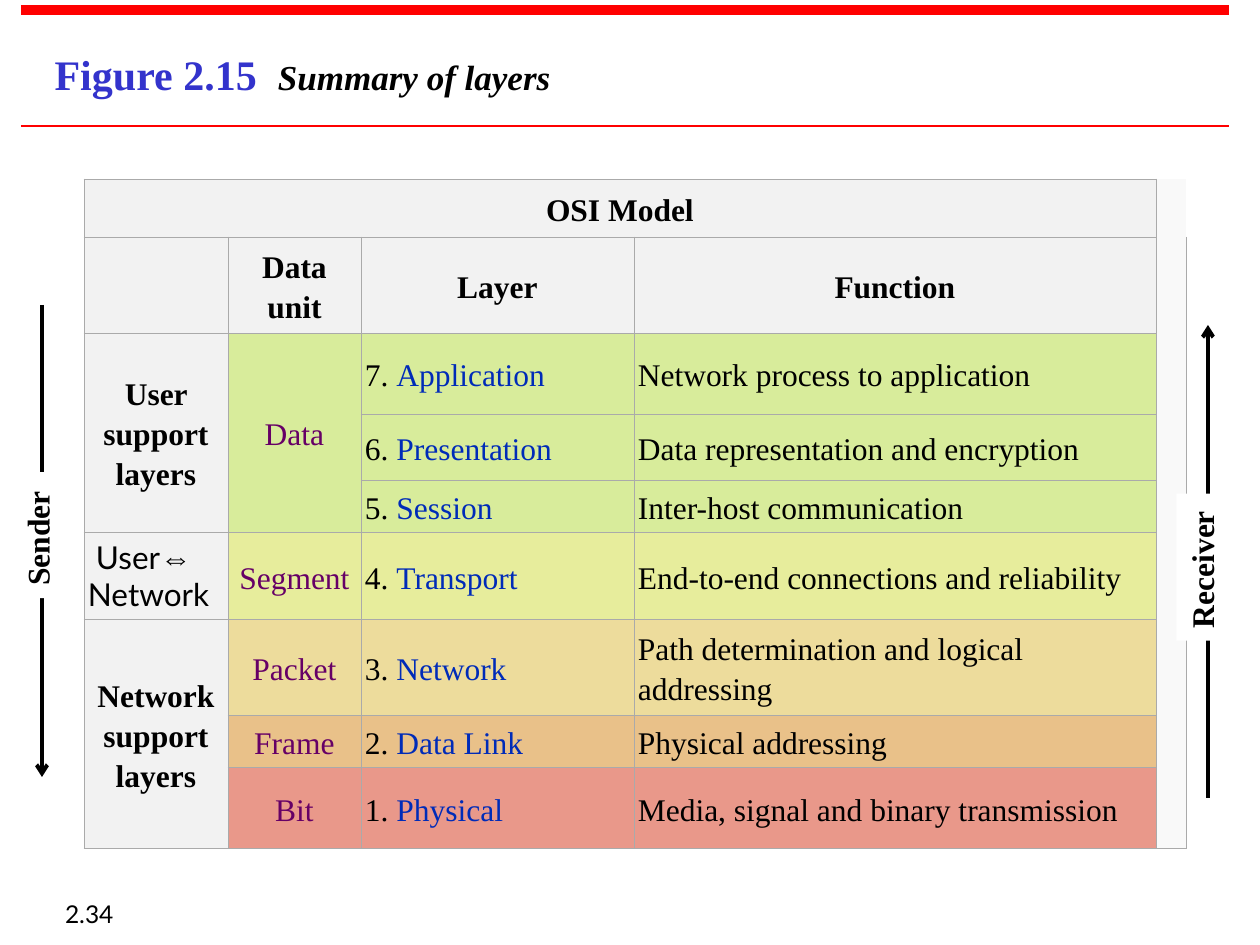
from lxml import etree
from pptx import Presentation
from pptx.dml.color import RGBColor
from pptx.enum.shapes import MSO_CONNECTOR, MSO_SHAPE
from pptx.enum.text import MSO_ANCHOR, PP_ALIGN
from pptx.oxml.ns import qn
from pptx.util import Emu, Pt

CENTER, LEFT, RIGHT = PP_ALIGN.CENTER, PP_ALIGN.LEFT, PP_ALIGN.RIGHT
TOP, MIDDLE, BOTTOM = MSO_ANCHOR.TOP, MSO_ANCHOR.MIDDLE, MSO_ANCHOR.BOTTOM
STRAIGHT, RECTANGLE = MSO_CONNECTOR.STRAIGHT, MSO_SHAPE.RECTANGLE

BLACK = RGBColor(0x00, 0x00, 0x00)
WHITE = RGBColor(0xFF, 0xFF, 0xFF)
RED = RGBColor(0xFF, 0x00, 0x00)
TITLE_BLUE = RGBColor(0x33, 0x33, 0xCC)
LINK_BLUE = RGBColor(0x00, 0x2B, 0xB8)
PURPLE = RGBColor(0x66, 0x00, 0x66)
BORDER_GREY = RGBColor(0xAA, 0xAA, 0xAA)
HEADER_GREY = RGBColor(0xF2, 0xF2, 0xF2)
EDGE_GREY = RGBColor(0xF9, 0xF9, 0xF9)
GREEN = RGBColor(0xD8, 0xEC, 0x9B)
LIME = RGBColor(0xE7, 0xED, 0x9C)
SAND = RGBColor(0xED, 0xDC, 0x9C)
ORANGE = RGBColor(0xE9, 0xC1, 0x89)
CORAL = RGBColor(0xE9, 0x98, 0x8A)
SERIF, SANS, SYMBOL = "Times New Roman", "Lato", "Arial"


def px(count):
    """Turn pixels, 126 to the inch, into EMU."""
    return Emu(round(count * 914400 / 126))


def add_span(para, text, color=BLACK, size=18, font=SERIF, bold=False, italic=False):
    """Add one formatted run to a paragraph."""
    span = para.add_run()
    span.text = text
    span.font.name = font
    span.font.size = Pt(size)
    span.font.bold = bold
    span.font.italic = italic
    span.font.color.rgb = color


deck = Presentation()
deck.slide_width, deck.slide_height = px(1260), px(945)
page = deck.slides.add_slide(deck.slide_layouts[5])

# Title
title = page.shapes.title
title.left, title.top, title.width, title.height = px(42), px(42), px(522), px(63)
title.text_frame.word_wrap = False
title.text_frame.vertical_anchor = TOP
para = title.text_frame.paragraphs[0]
para.alignment = LEFT
add_span(para, "Figure 2.15  ", TITLE_BLUE, 24, bold=True)
add_span(para, "Summary of layers", BLACK, 20, bold=True, italic=True)

# Table of layers
COLUMN_WIDTHS = [144, 133, 273, 522, 9]
ROW_HEIGHTS = [58, 96, 81, 66, 52, 84, 96, 52, 81]
LAYERS = [
    ("Application", "Network process to application", "Data", GREEN),
    ("Presentation", "Data representation and encryption", "", GREEN),
    ("Session", "Inter-host communication", "", GREEN),
    ("Transport", "End-to-end connections and reliability", "Segment", LIME),
    ("Network", "Path determination and logical addressing", "Packet", SAND),
    ("Data Link", "Physical addressing", "Frame", ORANGE),
    ("Physical", "Media, signal and binary transmission", "Bit", CORAL),
]
FIRST_LAYER_ROW = 2
EDGE_COLUMN = len(COLUMN_WIDTHS) - 1
LAST_ROW = len(ROW_HEIGHTS) - 1

frame = page.shapes.add_table(len(ROW_HEIGHTS), len(COLUMN_WIDTHS), px(84), px(179),
                              px(sum(COLUMN_WIDTHS)), px(sum(ROW_HEIGHTS)))
table = frame.table
table.first_row = table.horz_banding = False
for column, width in zip(table.columns, COLUMN_WIDTHS):
    column.width = px(width)
for row, height in zip(table.rows, ROW_HEIGHTS):
    row.height = px(height)

for r in range(len(ROW_HEIGHTS)):
    for c in range(len(COLUMN_WIDTHS)):
        cell = table.cell(r, c)
        sides = {"lnL", "lnR", "lnT", "lnB"}
        color = HEADER_GREY
        if c == EDGE_COLUMN:
            color = EDGE_GREY
            sides = {"lnL"} if r == 0 else {"lnL", "lnR"}
            if r == LAST_ROW:
                sides.add("lnB")
        else:
            cell.margin_left = cell.margin_right = px(4)
            cell.margin_top = cell.margin_bottom = px(6)
            cell.vertical_anchor = MIDDLE
            if r >= FIRST_LAYER_ROW and c > 0:
                color = LAYERS[r - FIRST_LAYER_ROW][3]
        properties = cell._tc.get_or_add_tcPr()
        for side in ("lnL", "lnR", "lnT", "lnB"):
            line = etree.SubElement(properties, qn(f"a:{side}"), w=str(Pt(0.45)))
            if side in sides:
                fill = etree.SubElement(line, qn("a:solidFill"))
                etree.SubElement(fill, qn("a:srgbClr"), val=str(BORDER_GREY))
            else:
                etree.SubElement(line, qn("a:noFill"))
        cell.fill.solid()
        cell.fill.fore_color.rgb = color

table.cell(0, 0).merge(table.cell(0, 3))
for r, c in ((2, 0), (2, 1), (6, 0)):
    table.cell(r, c).merge(table.cell(r + 2, c))

# Each entry: row, column, alignment, runs of (text, colour, bold)
entries = [
    (0, 0, CENTER, [("OSI Model", BLACK, True)]),
    (1, 1, CENTER, [("Data unit", BLACK, True)]),
    (1, 2, CENTER, [("Layer", BLACK, True)]),
    (1, 3, CENTER, [("Function", BLACK, True)]),
    (2, 0, CENTER, [("User support", BLACK, True), ("layers", BLACK, True)]),
    (6, 0, CENTER, [("Network support", BLACK, True), ("layers", BLACK, True)]),
]
for index, (layer, function, unit, color) in enumerate(LAYERS):
    r = FIRST_LAYER_ROW + index
    number = len(LAYERS) - index
    if unit:
        entries.append((r, 1, CENTER, [(unit, PURPLE, False)]))
    entries.append((r, 2, LEFT, [(f"{number}. ", BLACK, False), (layer, LINK_BLUE, False)]))
    entries.append((r, 3, LEFT, [(function, BLACK, False)]))

for r, c, alignment, spans in entries:
    para = table.cell(r, c).text_frame.paragraphs[0]
    para.alignment = alignment
    para.line_spacing = 1.15
    para.space_after = Pt(12)
    for text, color, bold in spans:
        if text == "layers":
            para.add_line_break()
        add_span(para, text, color, bold=bold)

para = table.cell(5, 0).text_frame.paragraphs[0]
for text, font in ((" User", SANS), ("⇔", SYMBOL), (" Network", SANS)):
    add_span(para, text, font=font)

# Rules and arrows: start, end, colour, width, arrowhead
LINES = [
    (21, 10, 1229, 10, RED, 6, None),
    (21, 126, 1229, 126, RED, 1.5, None),
    (42, 305, 42, 777, BLACK, 2.25, "tailEnd"),
    (1208, 325, 1208, 798, BLACK, 2.25, "headEnd"),
]
for x1, y1, x2, y2, color, width, arrowhead in LINES:
    line = page.shapes.add_connector(STRAIGHT, px(x1), px(y1), px(x2), px(y2))
    line.line.color.rgb = color
    line.line.width = Pt(width)
    if arrowhead:
        etree.SubElement(line.line._get_or_add_ln(), qn(f"a:{arrowhead}"), type="arrow")
    etree.SubElement(line._element.spPr, qn("a:effectLst"))

# Rotated labels over the arrows
for text, left, top, width in (("Sender", -26, 510, 126), ("Receiver", 1128, 542, 147)):
    label = page.shapes.add_shape(RECTANGLE, px(left), px(top), px(width), px(50))
    label.rotation = 270
    label.shadow.inherit = False
    label.fill.solid()
    label.fill.fore_color.rgb = WHITE
    label.line.fill.background()
    label.text_frame.word_wrap = True
    label.text_frame.vertical_anchor = TOP
    para = label.text_frame.paragraphs[0]
    para.alignment = LEFT
    add_span(para, text, bold=True)

# Page number
box = page.shapes.add_textbox(px(0), px(872), px(126), px(63))
box.text_frame.word_wrap = True
box.text_frame.vertical_anchor = BOTTOM
para = box.text_frame.paragraphs[0]
para.alignment = RIGHT
add_span(para, "2.34", size=14, font=SANS)

deck.save("out.pptx")
